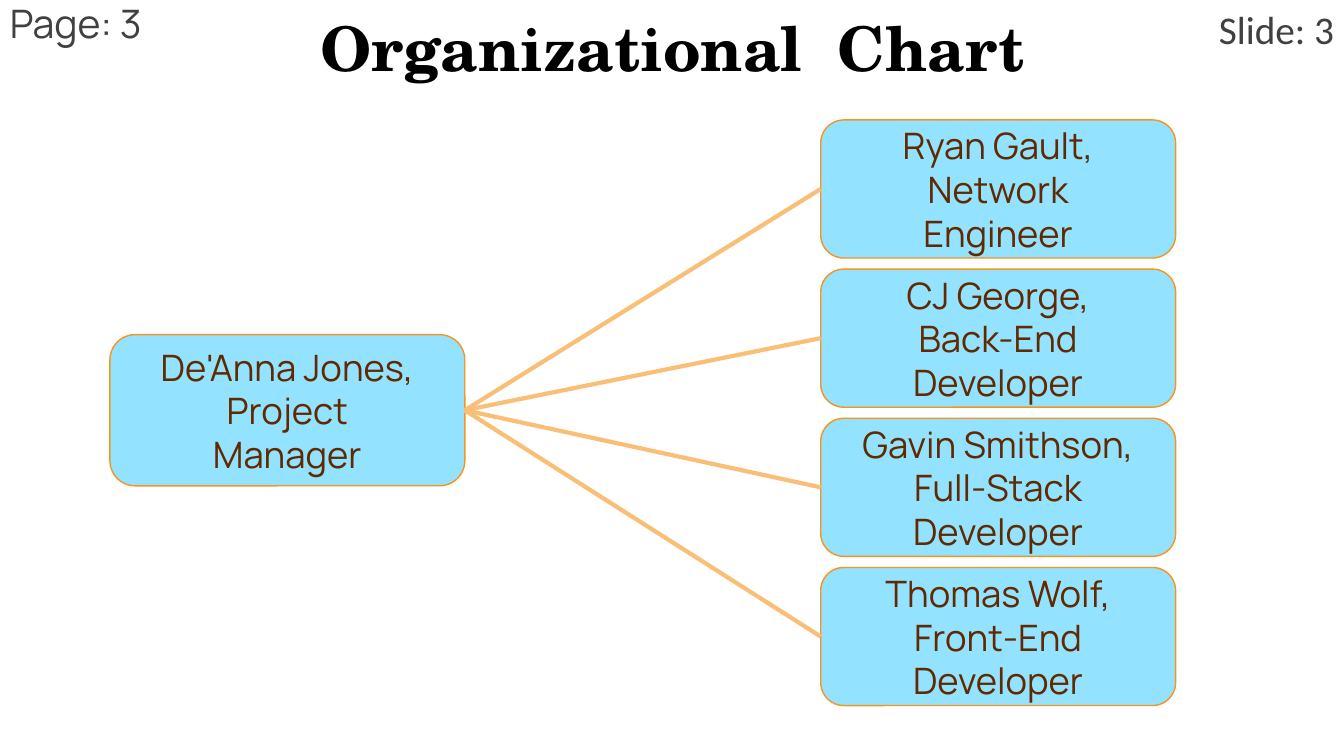
from lxml import etree
from pptx import Presentation
from pptx.dml.color import RGBColor
from pptx.enum.shapes import MSO_CONNECTOR, MSO_SHAPE
from pptx.enum.text import MSO_ANCHOR, MSO_AUTO_SIZE, PP_ALIGN
from pptx.oxml.ns import qn
from pptx.util import Inches, Pt

ROUNDED = MSO_SHAPE.ROUNDED_RECTANGLE
STRAIGHT = MSO_CONNECTOR.STRAIGHT
MIDDLE = MSO_ANCHOR.MIDDLE
LEFT, CENTER, RIGHT = PP_ALIGN.LEFT, PP_ALIGN.CENTER, PP_ALIGN.RIGHT

BLACK = RGBColor(0x00, 0x00, 0x00)
GREY = RGBColor(0x40, 0x40, 0x40)
BROWN = RGBColor(0x60, 0x29, 0x00)
SKY = RGBColor(0x93, 0xE2, 0xFF)
ORANGE = RGBColor(0xF7, 0x94, 0x1D)
PALE_ORANGE = RGBColor(0xFA, 0xBF, 0x77)

LEFT_SIDE, RIGHT_SIDE = 1, 3
BOX_WIDTH = 3.52
MANAGER_LEFT, MANAGER_TOP, MANAGER_HEIGHT = 1.09, 3.32, 1.5
TEAM_LEFT, TEAM_TOP, TEAM_HEIGHT, TEAM_PITCH = 8.14, 1.19, 1.37, 1.48

TEAM = [
    ["Ryan Gault,", "Network", "Engineer"],
    ["CJ George,", "Back-End Developer"],
    ["Gavin Smithson,", "Full-Stack Developer"],
    ["Thomas Wolf,", "Front-End Developer"],
]


def add_text(paragraph, text, font_name, size, color, alignment, bold=False):
    paragraph.alignment = alignment
    run = paragraph.add_run()
    run.text = text
    run.font.name = font_name
    run.font.size = Pt(size)
    run.font.bold = bold
    run.font.color.rgb = color
    return run


def add_person(left, top, height, lines):
    box = slide.shapes.add_shape(
        ROUNDED, Inches(left), Inches(top), Inches(BOX_WIDTH), Inches(height))
    box.shadow.inherit = False
    box.fill.solid()
    box.fill.fore_color.rgb = SKY
    box.line.color.rgb = ORANGE
    box.line.width = Pt(1)
    frame = box.text_frame
    frame.word_wrap = True
    frame.vertical_anchor = MIDDLE
    for index, line in enumerate(lines):
        paragraph = frame.add_paragraph() if index else frame.paragraphs[0]
        add_text(paragraph, line, "Manrope", 26, BROWN, CENTER)
    return box


presentation = Presentation()
presentation.slide_width = Inches(13.33)
presentation.slide_height = Inches(7.5)
slide = presentation.slides.add_slide(presentation.slide_layouts[5])

# Title, with a widened gap between its two words
title = slide.shapes.title
title.left, title.top = Inches(0.92), Inches(0)
title.width, title.height = Inches(11.5), Inches(1.03)
title.text_frame.auto_size = MSO_AUTO_SIZE.NONE
title.text_frame.vertical_anchor = MIDDLE
heading = title.text_frame.paragraphs[0]
heading.line_spacing = 0.9
for text, spacing in [("Organizational", 0), (" ", 1200), ("Chart", 0)]:
    run = add_text(heading, text, "TeX Gyre Schola", 44, BLACK, CENTER, True)
    run.font._element.set("spc", str(spacing))

# Page and slide numbers in the top corners
for text, left, width, height, font_name, alignment, line_spacing in [
    ("Page: 3", 0, 4.36, 0.4, "Manrope", LEFT, 0.9),
    ("Slide: 3", 10.97, 2.36, 0.57, "Calibri", RIGHT, 1.0),
]:
    label = slide.shapes.add_textbox(
        Inches(left), Inches(0), Inches(width), Inches(height))
    label.text_frame.word_wrap = True
    paragraph = label.text_frame.paragraphs[0]
    paragraph.line_spacing = line_spacing
    add_text(paragraph, text, font_name, 28, GREY, alignment)

# Manager on the left, joined to each team member on the right
manager = add_person(MANAGER_LEFT, MANAGER_TOP, MANAGER_HEIGHT,
                     ["De'Anna Jones,", "Project", "Manager"])
for row, lines in enumerate(TEAM):
    member = add_person(TEAM_LEFT, TEAM_TOP + row * TEAM_PITCH, TEAM_HEIGHT, lines)
    connector = slide.shapes.add_connector(STRAIGHT, 0, 0, 0, 0)
    connector.begin_connect(member, LEFT_SIDE)
    connector.end_connect(manager, RIGHT_SIDE)
    connector.line.color.rgb = PALE_ORANGE
    connector.line.width = Pt(3)
    etree.SubElement(connector._element.spPr, qn("a:effectLst"))

presentation.save("out.pptx")
